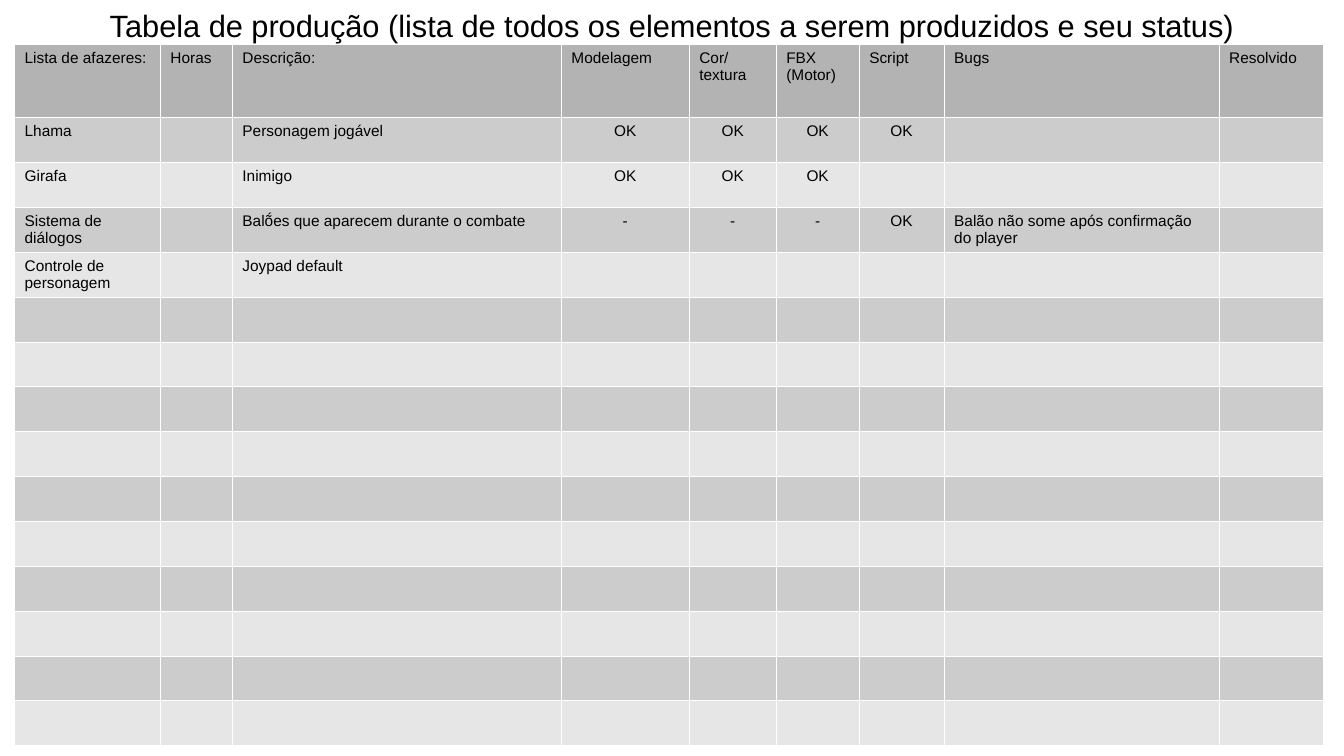
from lxml import etree
from pptx import Presentation
from pptx.dml.color import RGBColor
from pptx.enum.text import MSO_ANCHOR, PP_ALIGN
from pptx.oxml.ns import qn
from pptx.util import Pt

CENTER = PP_ALIGN.CENTER
MIDDLE = MSO_ANCHOR.MIDDLE
COLORS = {
    "text": "000000",
    "border": "FFFFFF",
    "header": "B3B3B3",
    "odd_row": "CCCCCC",
    "even_row": "E6E6E6",
}
FONT = "Arial"
TITLE_ONLY = 5


def format_text(paragraph, size):
    for run in paragraph.runs:
        run.font.name = FONT
        run.font.size = Pt(size)
        run.font.color.rgb = RGBColor.from_string(COLORS["text"])


def add_borders(cell):
    properties = cell._tc.get_or_add_tcPr()
    for side in ("a:lnL", "a:lnR", "a:lnT", "a:lnB"):
        line = etree.SubElement(properties, qn(side), w=str(Pt(0.75)))
        fill = etree.SubElement(line, qn("a:solidFill"))
        etree.SubElement(fill, qn("a:srgbClr"), val=COLORS["border"])


presentation = Presentation()
presentation.slide_width = Pt(960)
presentation.slide_height = Pt(540)
slide = presentation.slides.add_slide(presentation.slide_layouts[TITLE_ONLY])

# Title
title = slide.shapes.title
title.left, title.top, title.width, title.height = Pt(66), Pt(6), Pt(828), Pt(24.5)
title_frame = title.text_frame
title_frame.text = "Tabela de produção (lista de todos os elementos a serem produzidos e seu status)"
title_frame.margin_left = title_frame.margin_right = 0
title_frame.margin_top = title_frame.margin_bottom = 0
title_frame.vertical_anchor = MIDDLE
title_frame.paragraphs[0].alignment = CENTER
format_text(title_frame.paragraphs[0], 22)

# Table content
tasks = [
    ["Lista de afazeres:", "Horas", "Descrição:", "Modelagem", "Cor/textura",
     "FBX (Motor)", "Script", "Bugs", "Resolvido"],
    ["Lhama", "", "Personagem jogável", "OK", "OK", "OK", "OK", "", ""],
    ["Girafa", "", "Inimigo", "OK", "OK", "OK", "", "", ""],
    ["Sistema de diálogos", "", "Balṍes que aparecem durante o combate", "-", "-", "-", "OK",
     "Balão não some após confirmação do player", ""],
    ["Controle de personagem", "", "Joypad default", "", "", "", "", "", ""],
]
blank_rows = 10
column_widths = [104.2, 51.4, 235, 91.4, 62.1, 59.3, 60.7, 196.4, 74.9]
header_height, row_height = 52.4, 32.04
row_count = len(tasks) + blank_rows
tasks += [[""] * len(column_widths)] * blank_rows

# Table grid
table = slide.shapes.add_table(
    row_count, len(column_widths), Pt(10.4), Pt(31.8),
    Pt(sum(column_widths)), Pt(header_height + row_height * (row_count - 1)),
).table
for column, width in zip(table.columns, column_widths):
    column.width = Pt(width)

# Table cells
for row_index, task in enumerate(tasks):
    if row_index == 0:
        fill_name = "header"
    else:
        fill_name = "odd_row" if row_index % 2 else "even_row"
    table.rows[row_index].height = Pt(row_height if row_index else header_height)
    for column_index, text in enumerate(task):
        cell = table.cell(row_index, column_index)
        add_borders(cell)
        cell.fill.solid()
        cell.fill.fore_color.rgb = RGBColor.from_string(COLORS[fill_name])
        if text:
            cell.text_frame.text = text
            paragraph = cell.text_frame.paragraphs[0]
            format_text(paragraph, 11)
            paragraph.runs[0].font.bold = False
            if text in ("OK", "-"):
                paragraph.alignment = CENTER

presentation.save("out.pptx")
